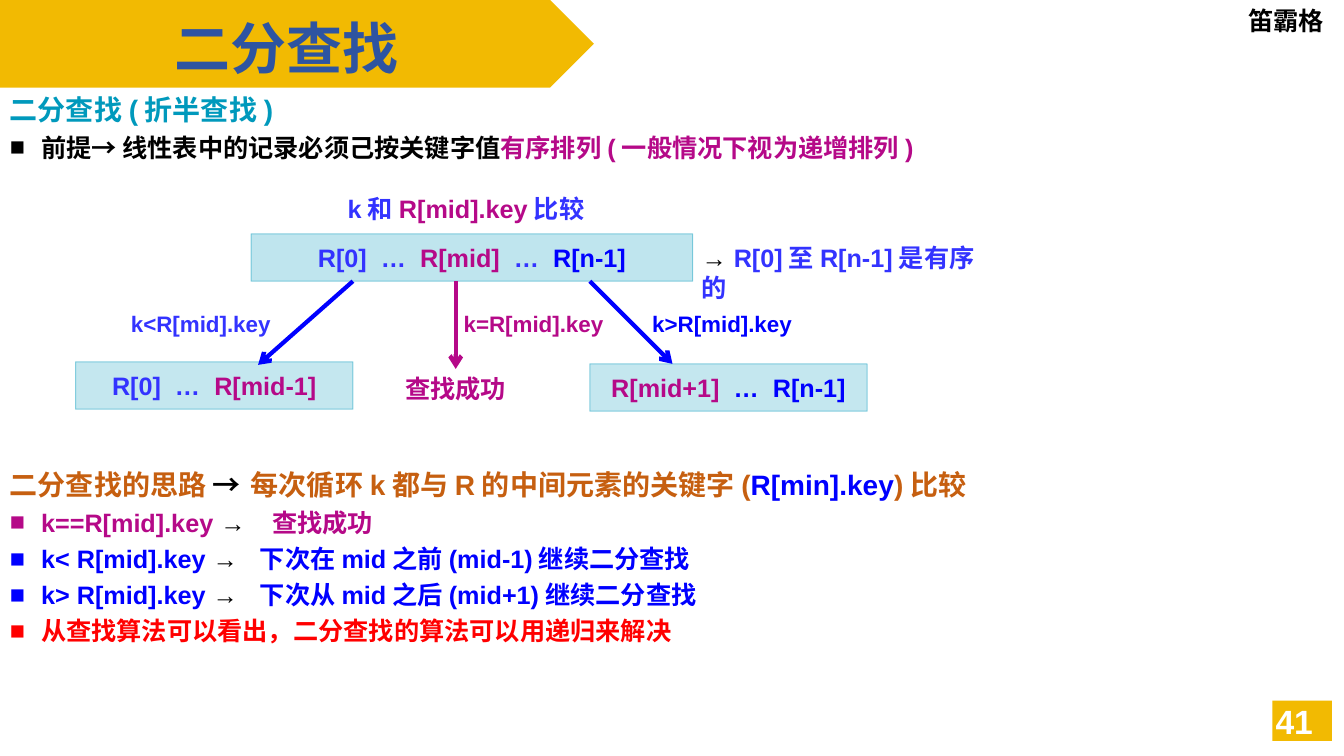
from dataclasses import dataclass

from lxml import etree
from pptx import Presentation
from pptx import util as u
from pptx.dml.color import RGBColor
from pptx.enum import shapes, text
from pptx.oxml import ns

PX = 9144


@dataclass(frozen=True)
class Theme:
    """Colours, fonts and type sizes of the slide."""
    gold: str = "F2BA02"
    navy: str = "2E54A1"
    teal: str = "0099BC"
    plum: str = "B50988"
    rust: str = "C65F10"
    iris: str = "3333FF"
    blue: str = "0000FF"
    red: str = "FF0000"
    black: str = "000000"
    white: str = "FFFFFF"
    font: str = "Arial"
    head: str = "Calibri"
    title: int = 40
    num: int = 24
    lead: int = 20
    body: int = 18
    small: int = 16


T = Theme()
LEFT, MID, RIGHT = text.PP_ALIGN.LEFT, text.PP_ALIGN.CENTER, text.PP_ALIGN.RIGHT


def emu(*px):
    """Turn px lengths into EMU."""
    return [u.Emu(p * PX) for p in px]


def rgb(code):
    """Read a hex colour."""
    return RGBColor.from_string(code)


def sub(node, tag, **attrs):
    """Add a DrawingML child to a node."""
    return etree.SubElement(node, ns.qn(tag), **attrs)


def fade(node, part):
    """Give the colours under a node a percentage of opacity."""
    for clr in node.iter(ns.qn("a:srgbClr")):
        sub(clr, "a:alpha", val=str(part * 1000))


def write(para, runs, size=T.body, font=T.font, align=LEFT, space=None, bullet=False):
    """Fill a paragraph with (words, colour) runs."""
    if bullet:
        props = para._p.get_or_add_pPr()
        props.set("marL", str(31 * PX))
        props.set("indent", str(-31 * PX))
        sub(props, "a:buFont", typeface=T.font)
        sub(props, "a:buChar", char="■")
    para.alignment = align
    if space:
        para.line_spacing = space
    para.font.size, para.font.bold, para.font.name = u.Pt(size), True, font
    for words, color in runs:
        run = para.add_run()
        run.text = words
        run.font.color.rgb = rgb(color)


def label(slide, box, *runs, **style):
    """Place a one-paragraph text box."""
    frame = slide.shapes.add_textbox(*emu(*box)).text_frame
    frame.word_wrap = True
    write(frame.paragraphs[0], runs, **style)
    return frame


def block(slide, box, lead, points):
    """Place a lead line with bullets below it."""
    frame = label(slide, box, *lead, size=T.lead, space=1.2)
    for runs in points:
        write(frame.add_paragraph(), runs, space=1.2, bullet=True)


def plate(slide, box, color, kind=shapes.MSO_SHAPE.RECTANGLE):
    """Place a plain filled shape."""
    shape = slide.shapes.add_shape(kind, *emu(*box))
    shape.shadow.inherit = False
    shape.fill.solid()
    shape.fill.fore_color.rgb = rgb(color)
    shape.line.fill.background()
    return shape


def array(slide, box, part, *runs):
    """Place a pale box that shows a range of records."""
    shape = plate(slide, box, T.teal)
    fade(shape.element.spPr, part)
    shape.line.color.rgb = rgb(T.teal)
    shape.line.width = u.Pt(0.75)
    fade(shape.element.spPr.find(ns.qn("a:ln")), 43)
    shape.text_frame.vertical_anchor = text.MSO_ANCHOR.MIDDLE
    write(shape.text_frame.paragraphs[0], runs, align=MID)


def arrow(slide, ends, color):
    """Draw an arrow between two points."""
    line = slide.shapes.add_connector(shapes.MSO_CONNECTOR.STRAIGHT, *emu(*ends))
    line.line.color.rgb = rgb(color)
    line.line.width = u.Pt(3)
    sub(line.line._get_or_add_ln(), "a:tailEnd", type="arrow")
    sub(line.element.spPr, "a:effectLst")


def header(slide, box):
    """Place the banner, the title and the corner name."""
    x, y, w, h = box
    plate(slide, (x, y, 589, h), T.gold, shapes.MSO_SHAPE.PENTAGON)
    title = slide.shapes.title
    slide.shapes.element.append(title.element)
    title.left, title.top, title.width, title.height = emu(x + 163, y + 8, 242, 77)
    frame = title.text_frame
    frame.word_wrap = False
    frame.auto_size = text.MSO_AUTO_SIZE.NONE
    frame.vertical_anchor = text.MSO_ANCHOR.TOP
    write(frame.paragraphs[0], [("二分查找", T.navy)], T.title, T.head)
    label(slide, (x + w - 105, y, 105, 40), ("笛霸格", T.black), font=T.head)


def footer(slide, box):
    """Place the page number on its tile."""
    x, y, w, h = box
    plate(slide, (x + 20, y, 59, h), T.gold)
    frame = label(slide, box, ("41", T.white), size=T.num, align=RIGHT)
    frame.vertical_anchor = text.MSO_ANCHOR.MIDDLE


def premise(slide, box):
    """Place the opening statement."""
    block(slide, box, [("二分查找(折半查找)", T.teal)], [[
        ("前提→ 线性表中的记录必须己按关键字值", T.black),
        ("有序排列(一般情况下视为递增排列)", T.plum)]])


def diagram(slide, box):
    """Draw the three-way comparison tree."""
    x, y, w, h = box
    array(slide, (x + 174, y + 45, 438, 47), 25, ("R[0]  …  ", T.iris),
          ("R[mid]", T.plum), ("  …  ", T.iris), ("R[n-1]", T.blue))
    label(slide, (x + 260, y, 281, 40), ("k和", T.iris),
          ("R[mid].key", T.plum), ("比较", T.iris))
    label(slide, (x + 611, y + 48, 312, 40), ("→ ", T.black),
          ("R[0]至R[n-1]是有序的", T.iris))
    array(slide, (x, y + 172, 275, 47), 23, ("R[0]  …  ", T.iris), ("R[mid-1]", T.plum))
    array(slide, (x + 510, y + 174, 275, 47), 23,
          ("R[mid+1]  ", T.plum), ("…  R[n-1]", T.blue))
    label(slide, (x + 288, y + 178, 178, 40), ("查找成功", T.plum), align=MID)
    branches = [("<", 45, 275, 181, 175, T.iris, T.blue),
                ("=", 375, 377, 377, 179, T.plum, T.plum),
                (">", 562, 510, 592, 174, T.blue, T.blue)]
    for sign, left, start, end, drop, ink, stroke in branches:
        arrow(slide, (x + start, y + 92, x + end, y + drop), stroke)
        label(slide, (x + left, y + 116, 195, 37),
              (f"k{sign}R[mid].key", ink), size=T.small)


def idea(slide, box):
    """Place the method and the outcome of each case."""
    x, y, w, h = box
    to = ("→", T.black)
    cases = [("k==R[mid].key ", "查找成功", 260, T.plum),
             ("k< R[mid].key ", "下次在mid之前(mid-1)继续二分查找", 248, T.blue),
             ("k> R[mid].key ", "下次从mid之后(mid+1)继续二分查找", 248, T.blue)]
    points = [[(test, ink), to] for test, _, _, ink in cases]
    points.append([("从查找算法可以看出，二分查找的算法可以用递归来解决", T.red)])
    block(slide, box, [("二分查找的思路 ", T.rust), to], points)
    label(slide, (x + 239, y, 783, 47), ("每次循环k都与R的中间元素的关键字(", T.rust),
          ("R[min].key", T.blue), (")比较", T.rust), size=T.lead, space=1.2)
    for row, (_, result, left, ink) in enumerate(cases):
        label(slide, (x + left, y + 40 + 36 * row, 670, 43), (result, ink), space=1.2)


def main():
    """Build and save the slide."""
    deck = Presentation()
    deck.slide_width, deck.slide_height = emu(1333, 750)
    slide = deck.slides.add_slide(deck.slide_layouts.get_by_name("Title Only"))
    header(slide, (0, 0, 1333, 87))
    premise(slide, (0, 80, 1000, 87))
    diagram(slide, (75, 187, 923, 221))
    idea(slide, (0, 452, 903, 196))
    footer(slide, (1242, 695, 70, 40))
    deck.save("out.pptx")


if __name__ == "__main__":
    main()
